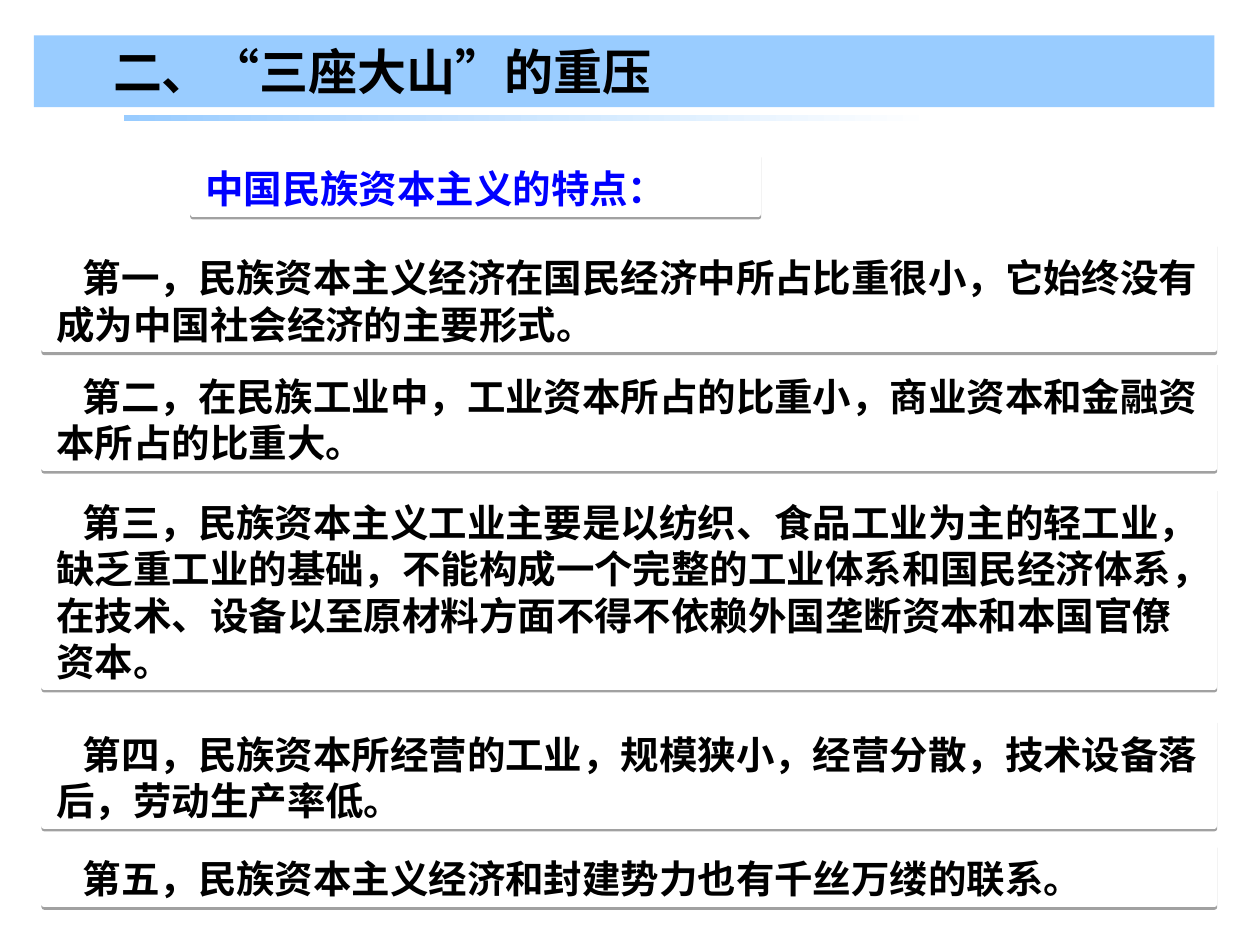
from lxml.etree import SubElement
from pptx import Presentation
from pptx.dml.color import RGBColor
from pptx.enum.shapes import MSO_SHAPE as Shape
from pptx.enum.text import MSO_ANCHOR as Anchor, MSO_AUTO_SIZE as AutoSize, PP_ALIGN as Align
from pptx.oxml.ns import qn
from pptx.util import Pt

COLORS = {"band": "99CCFF", "paper": "FFFFFF", "text": "000000", "heading": "0000FF"}
CJK_FONT = "Noto Sans CJK SC"
LINE_HEIGHT = 26.5
PADDING = 7.2

HEADING = "中国民族资本主义的特点："
# top, number of lines, text
FEATURES = [
    (139.7, 2, "第一，民族资本主义经济在国民经济中所占比重很小，它始终没有成为中国社会经济的主要形式。"),
    (207.4, 2, "第二，在民族工业中，工业资本所占的比重小，商业资本和金融资本所占的比重大。"),
    (279.4, 4, "第三，民族资本主义工业主要是以纺织、食品工业为主的轻工业，缺乏重工业的基础，"
               "不能构成一个完整的工业体系和国民经济体系，在技术、设备以至原材料方面"
               "不得不依赖外国垄断资本和本国官僚资本。"),
    (411.8, 2, "第四，民族资本所经营的工业，规模狭小，经营分散，技术设备落后，劳动生产率低。"),
    (483.1, 1, "第五，民族资本主义经济和封建势力也有千丝万缕的联系。"),
]


def rgb(name):
    return RGBColor.from_string(COLORS[name])


def write(shape, text, size, color, line_height, indent=0, font=CJK_FONT, top=3.6):
    """Fill the shape with one bold paragraph whose first line is indented."""
    frame = shape.text_frame
    frame.word_wrap = True
    frame.auto_size = AutoSize.NONE
    frame.margin_left = frame.margin_right = Pt(7.2)
    frame.margin_top, frame.margin_bottom = Pt(top), Pt(PADDING - top)
    paragraph = frame.paragraphs[0]
    paragraph.alignment = Align.LEFT
    paragraph.line_spacing = Pt(line_height)
    properties = paragraph._p.get_or_add_pPr()
    properties.set("marL", "0")
    properties.set("indent", str(Pt(indent)))
    run = paragraph.add_run()
    run.text = text
    run.font.size, run.font.bold, run.font.name = Pt(size), True, font
    run.font.color.rgb = rgb(color)
    run_properties = run._r.get_or_add_rPr()
    run_properties.set("lang", "zh-CN")
    SubElement(run_properties, qn("a:ea")).set("typeface", CJK_FONT)


def add_title(slide):
    title = slide.shapes.title
    title.left, title.top, title.width, title.height = Pt(19.4), Pt(20.2), Pt(674.6), Pt(41)
    title.fill.solid()
    title.fill.fore_color.rgb = rgb("band")
    write(title, "二、“三座大山”的重压", 28, "text", 33.5, indent=38, font="Arial")
    title.text_frame.vertical_anchor = Anchor.MIDDLE


def add_fading_rule(slide):
    rule = slide.shapes.add_shape(Shape.RECTANGLE, Pt(70.6), Pt(65.5), Pt(463.7), Pt(3.6))
    rule.shadow.inherit = False
    rule.line.fill.background()
    rule.fill.gradient()
    rule.fill.gradient_angle = 0
    for stop, color in zip(rule.fill.gradient_stops, ("band", "paper")):
        stop.color.rgb = rgb(color)


def add_bottom_shadow(shape):
    shape.shadow.inherit = False
    effects = shape._element.spPr.find(qn("a:effectLst"))
    shadow = SubElement(effects, qn("a:outerShdw"), blurRad="0", dist=str(Pt(1.6)),
                        dir="5400000", algn="ctr", rotWithShape="0")
    black = SubElement(shadow, qn("a:srgbClr"), val=COLORS["text"])
    SubElement(black, qn("a:alpha"), val="37000")


def add_card(slide, left, top, width, lines, text, color="text", indent=0):
    height = PADDING + lines * LINE_HEIGHT
    card = slide.shapes.add_shape(Shape.RECTANGLE, Pt(left), Pt(top), Pt(width), Pt(height))
    card.fill.solid()
    card.fill.fore_color.rgb = rgb("paper")
    card.line.color.rgb = rgb("paper")
    card.line.width = Pt(3)
    add_bottom_shadow(card)
    write(card, text, 22, color, LINE_HEIGHT, indent, top=5.6)
    card.text_frame.vertical_anchor = Anchor.TOP


def main():
    deck = Presentation()
    deck.slide_width, deck.slide_height = Pt(720), Pt(540)
    slide = deck.slides.add_slide(deck.slide_layouts[5])
    add_title(slide)
    add_fading_rule(slide)
    add_card(slide, 110.2, 88.6, 323.3, 1, HEADING, color="heading")
    for top, lines, text in FEATURES:
        add_card(slide, 25.2, top, 668.9, lines, text, indent=15)
    deck.save("out.pptx")


if __name__ == "__main__":
    main()
